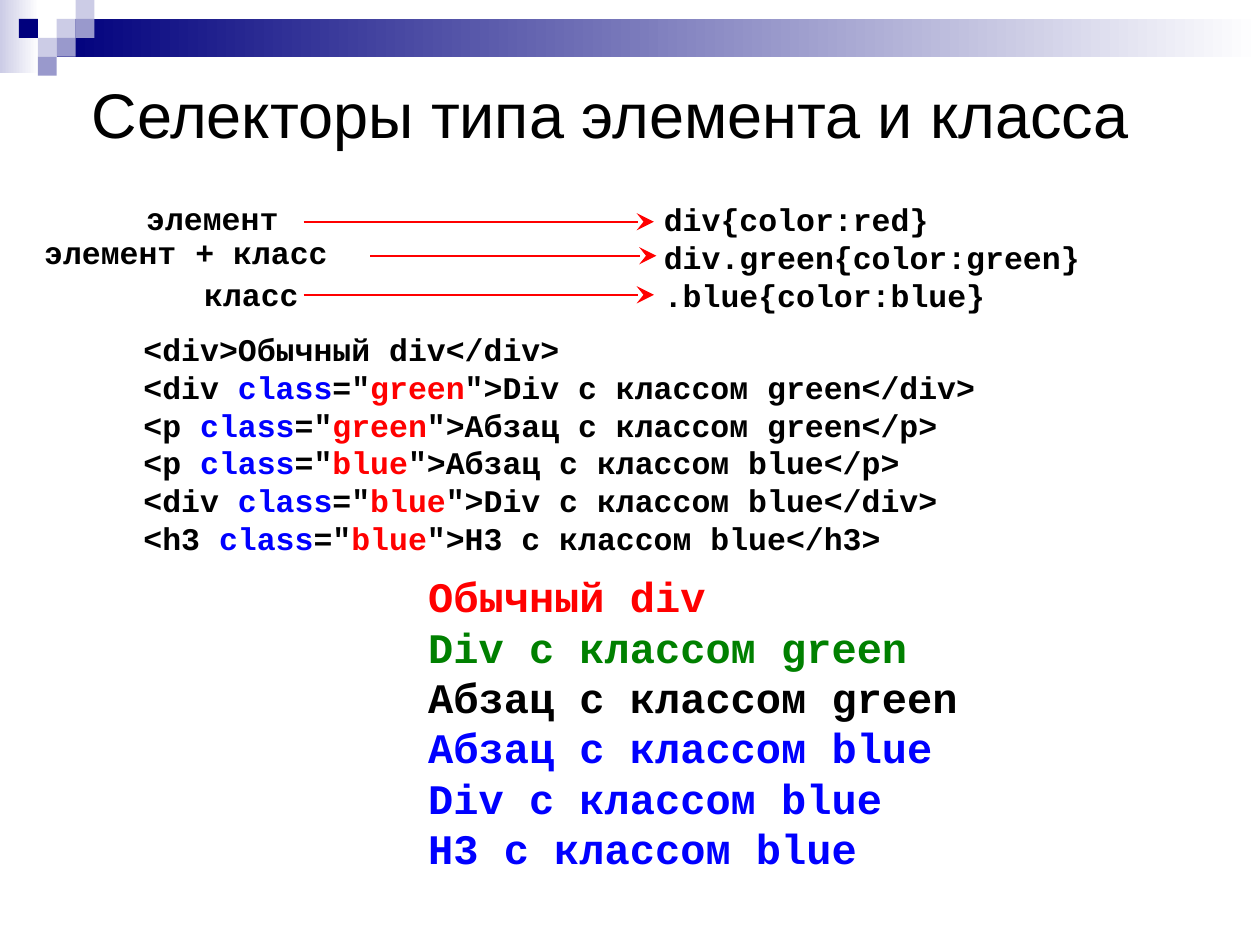
from dataclasses import dataclass

from lxml.etree import SubElement
from pptx import Presentation
from pptx.dml.color import RGBColor
from pptx.enum.shapes import MSO_CONNECTOR, MSO_SHAPE
from pptx.enum.text import MSO_ANCHOR, PP_ALIGN
from pptx.oxml.ns import qn
from pptx.util import Inches, Pt


@dataclass(frozen=True)
class Theme:
    """Hold the colours, fonts and type sizes of the slide."""
    black: str = "000000"
    white: str = "FFFFFF"
    red: str = "FF0000"
    green: str = "008000"
    blue: str = "0000FF"
    navy: str = "00007D"
    mid: str = "9999CC"
    pale: str = "CCCCE6"
    sans: str = "Arial"
    mono: str = "Courier New"
    head: int = 36
    code: int = 18
    demo: int = 24
    rule: int = 1


THEME = Theme()


def color(hex):
    """Turn a hex string into a colour."""
    return RGBColor.from_string(hex)


def write(slide, box, lines, size=THEME.code, font=THEME.mono, bold=True,
          align=PP_ALIGN.LEFT, anchor=MSO_ANCHOR.TOP, wrap=True):
    """Place a text box whose lines are lists of (text, colour) runs."""
    frame = slide.shapes.add_textbox(*map(Inches, box)).text_frame
    frame.word_wrap = wrap
    frame.vertical_anchor = anchor
    for i, line in enumerate(lines):
        para = frame.paragraphs[0] if i == 0 else frame.add_paragraph()
        para.alignment = align
        for text, tint in line:
            run = para.add_run()
            run.text = text
            run.font.size = Pt(size)
            run.font.name = font
            run.font.bold = bold
            run.font.color.rgb = color(tint)


def block(slide, box, fill, end=None):
    """Place a plain rectangle, fading to the end colour if one is given."""
    shape = slide.shapes.add_shape(MSO_SHAPE.RECTANGLE, *map(Inches, box))
    shape.shadow.inherit = False
    shape.line.fill.background()
    if end:
        shape.fill.gradient()
        shape.fill.gradient_angle = 0
        for stop, tint in zip(shape.fill.gradient_stops, (fill, end)):
            stop.color.rgb = color(tint)
    else:
        shape.fill.solid()
        shape.fill.fore_color.rgb = color(fill)


def arrow(slide, left, right, top):
    """Draw a level red arrow."""
    line = slide.shapes.add_connector(
        MSO_CONNECTOR.STRAIGHT, *map(Inches, (left, top, right, top)))
    line.line.color.rgb = color(THEME.red)
    line.line.width = Pt(THEME.rule)
    props = line.line._get_or_add_ln()
    SubElement(props, qn("a:tailEnd"), type="stealth", w="lg", len="lg")
    SubElement(props.getparent(), qn("a:effectLst"))


def banner(slide, box):
    """Draw the fading bars and the mosaic of small squares."""
    left, top, width, height = box
    unit = height / 4
    block(slide, (left, top, 0.31, 0.58), THEME.pale, THEME.white)
    start = left + 3 * unit
    block(slide, (start, top + unit, left + width - start, 2 * unit),
          THEME.navy, THEME.white)
    cells = [(3, 1, THEME.pale), (4, 0, THEME.pale), (4, 1, THEME.mid),
             (2, 2, THEME.pale), (1, 1, THEME.navy), (3, 2, THEME.mid),
             (2, 3, THEME.mid)]
    for col, row, fill in cells:
        block(slide, (left + col * unit, top + row * unit, unit, unit), fill)


def title(slide, box):
    """Write the heading."""
    write(slide, box, [[("Селекторы типа элемента и класса", THEME.black)]],
          size=THEME.head, font=THEME.sans, bold=False,
          anchor=MSO_ANCHOR.MIDDLE)


def rules(slide, box):
    """Write the style rules with a label and an arrow for each."""
    left, top, width, height = box
    split = 4.92
    styles = ["div{color:red}", "div.green{color:green}", ".blue{color:blue}"]
    write(slide, (left + split, top + 0.01, width - split, height),
          [[(style, THEME.black)] for style in styles])
    labels = [("элемент", 0.81, 0, 1.25, 2.16, 4.94, 0.23),
              ("элемент + класс", 0, 0.27, 2.45, 2.69, 4.96, 0.5),
              ("класс", 1.27, 0.6, 0.95, 2.16, 4.94, 0.81)]
    for text, x, y, wide, start, end, level in labels:
        arrow(slide, left + start, left + end, top + level)
        write(slide, (left + x, top + y, wide, 0.4), [[(text, THEME.black)]],
              align=PP_ALIGN.CENTER, wrap=False)


def markup(slide, box):
    """Write the markup with its class names in colour."""
    rows = [("div", "green", "Div с классом green"),
            ("p", "green", "Aбзац с классом green"),
            ("p", "blue", "Абзац с классом blue"),
            ("div", "blue", "Div с классом blue"),
            ("h3", "blue", "H3 с классом blue")]
    lines = [[("<div>Обычный div</div>", THEME.black)]]
    for tag, name, text in rows:
        lines.append([(f"<{tag} ", THEME.black), ("class", THEME.blue),
                      ('="', THEME.black), (name, THEME.red),
                      (f'">{text}</{tag}>', THEME.black)])
    write(slide, box, lines)


def result(slide, box):
    """Write the lines as the styles render them."""
    rows = [("Обычный div", THEME.red),
            ("Div с классом green", THEME.green),
            ("Aбзац с классом green", THEME.black),
            ("Абзац с классом blue", THEME.blue),
            ("Div с классом blue", THEME.blue),
            ("H3 с классом blue", THEME.blue)]
    write(slide, box, [[row] for row in rows], size=THEME.demo)


def main():
    """Build and save the slide."""
    deck = Presentation()
    deck.slide_width, deck.slide_height = Inches(10), Inches(7.5)
    slide = deck.slides.add_slide(deck.slide_layouts[6])
    banner(slide, (0, 0, 10, 0.6))
    title(slide, (0.63, 0.52, 8.69, 0.75))
    rules(slide, (0.25, 1.53, 8.53, 1))
    markup(slide, (1.04, 2.57, 7.34, 1.9))
    result(slide, (3.3, 4.48, 4.45, 2.5))
    deck.save("out.pptx")


if __name__ == "__main__":
    main()
